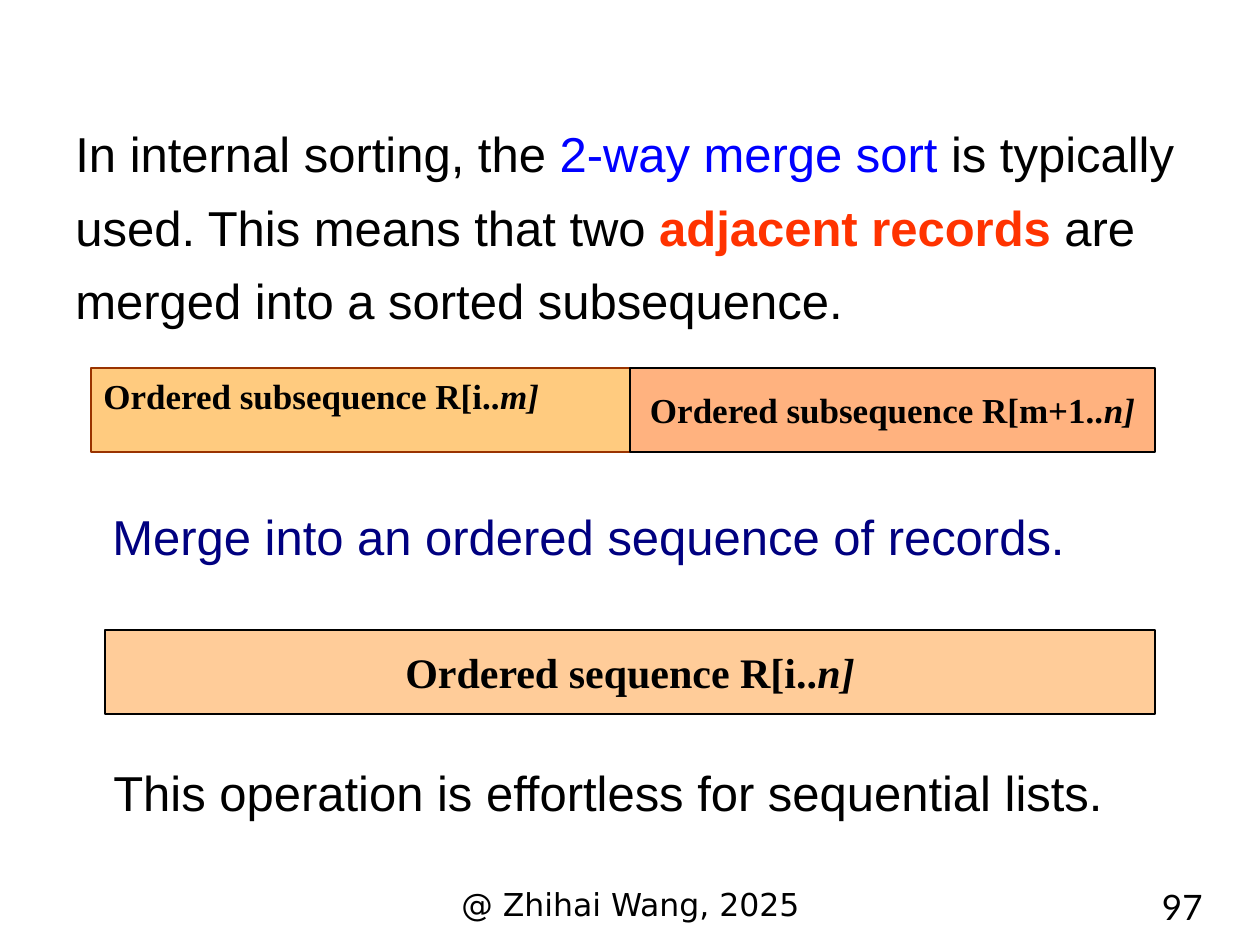
from dataclasses import dataclass
from typing import Optional

import pptx
import pptx.dml.color
import pptx.enum.shapes
import pptx.enum.text
import pptx.oxml
import pptx.oxml.ns
import pptx.util

RGBColor = pptx.dml.color.RGBColor
Align = pptx.enum.text.PP_ALIGN
Anchor = pptx.enum.text.MSO_ANCHOR

EMU_PER_PX = 914400 / 126

BLACK = RGBColor(0x00, 0x00, 0x00)
BLUE = RGBColor(0x00, 0x00, 0xFF)
NAVY = RGBColor(0x00, 0x00, 0x80)
RED = RGBColor(0xFF, 0x33, 0x00)
BROWN = RGBColor(0x99, 0x33, 0x00)
PEACH = RGBColor(0xFF, 0xCC, 0x99)
AMBER = RGBColor(0xFF, 0x99, 0x00)
ORANGE = RGBColor(0xFF, 0x66, 0x00)


@dataclass(frozen=True)
class Box:
    left: int
    top: int
    width: int
    height: int


@dataclass(frozen=True)
class Span:
    text: str
    color: Optional[RGBColor] = None
    bold: Optional[bool] = None
    italic: Optional[bool] = None


@dataclass(frozen=True)
class Caption:
    box: Box
    spans: tuple[Span, ...]
    size: int = 28
    font: str = "Arial"
    color: RGBColor = BLACK
    align: Align = Align.LEFT
    wrap: bool = False
    grow: bool = True
    line_spacing: Optional[float] = None


@dataclass(frozen=True)
class Sequence:
    box: Box
    label: str
    end: str
    size: int
    fill: RGBColor
    opacity: int = 100
    line: RGBColor = BLACK
    line_width: float = 0.75
    align: Align = Align.CENTER
    anchor: Anchor = Anchor.MIDDLE
    wrap: bool = False


CAPTIONS = (
    Caption(
        Box(63, 103, 1155, 236),
        (
            Span("In internal sorting, the "),
            Span("2-way merge sort", BLUE),
            Span(" is typically used. This means that two "),
            Span("adjacent records ", RED, bold=True),
            Span("are merged into a sorted subsequence."),
        ),
        wrap=True,
        line_spacing=1.25,
    ),
    Caption(Box(100, 500, 978, 72), (Span("Merge into an ordered sequence of records."),), color=NAVY),
    Caption(Box(101, 756, 1016, 72), (Span("This operation is effortless for sequential lists."),)),
    Caption(Box(431, 879, 399, 49), (Span("@ Zhihai Wang, 2025"),), 18, "DejaVu Sans",
            align=Align.CENTER, wrap=True, grow=False),
    Caption(Box(1022, 879, 193, 49), (Span("97"),), 20, "Lato",
            align=Align.RIGHT, wrap=True, grow=False),
)

SEQUENCES = (
    Sequence(Box(105, 630, 1050, 84), "Ordered sequence R[i..", "n]", 24, PEACH),
    Sequence(Box(91, 368, 539, 84), "Ordered subsequence R[i..", "m]", 20, AMBER, 50, BROWN, 1,
             Align.LEFT, Anchor.TOP, True),
    Sequence(Box(630, 368, 525, 84), "Ordered subsequence R[m+1..", "n]", 20, ORANGE, 50),
)


def px(length: int) -> int:
    return pptx.util.Emu(round(length * EMU_PER_PX))


def place(box: Box) -> tuple[int, int, int, int]:
    return px(box.left), px(box.top), px(box.width), px(box.height)


def write(paragraph, spans: tuple[Span, ...], font: str, size: int, color: RGBColor, align: Align) -> None:
    paragraph.alignment = align
    paragraph.font.name = font
    paragraph.font.size = pptx.util.Pt(size)
    paragraph.font.color.rgb = color
    for span in spans:
        run = paragraph.add_run()
        run.text = span.text
        run.font.bold = span.bold
        run.font.italic = span.italic
        run.font.color.rgb = span.color or color


def draw_caption(slide, caption: Caption) -> None:
    frame = slide.shapes.add_textbox(*place(caption.box)).text_frame
    frame.word_wrap = caption.wrap
    if caption.grow:
        frame.auto_size = pptx.enum.text.MSO_AUTO_SIZE.SHAPE_TO_FIT_TEXT
    paragraph = frame.paragraphs[0]
    if caption.line_spacing:
        paragraph.line_spacing = caption.line_spacing
    write(paragraph, caption.spans, caption.font, caption.size, caption.color, caption.align)


def draw_sequence(slide, sequence: Sequence) -> None:
    bar = slide.shapes.add_shape(pptx.enum.shapes.MSO_SHAPE.RECTANGLE, *place(sequence.box))
    bar.shadow.inherit = False
    bar.fill.solid()
    bar.fill.fore_color.rgb = sequence.fill
    if sequence.opacity < 100:
        fill_color = bar.element.spPr.find(pptx.oxml.ns.qn("a:solidFill"))[0]
        alpha = pptx.oxml.parse_xml(
            f'<a:alpha {pptx.oxml.ns.nsdecls("a")} val="{sequence.opacity * 1000}"/>'
        )
        fill_color.append(alpha)
    bar.line.color.rgb = sequence.line
    bar.line.width = pptx.util.Pt(sequence.line_width)
    frame = bar.text_frame
    frame.word_wrap = sequence.wrap
    frame.vertical_anchor = sequence.anchor
    paragraph = frame.paragraphs[0]
    paragraph.font.bold = True
    spans = (Span(sequence.label), Span(sequence.end, italic=True))
    write(paragraph, spans, "Times New Roman", sequence.size, BLACK, sequence.align)


def main() -> None:
    deck = pptx.Presentation()
    deck.slide_width = px(1260)
    deck.slide_height = px(945)
    slide = deck.slides.add_slide(deck.slide_layouts[6])
    for sequence in SEQUENCES:
        draw_sequence(slide, sequence)
    for caption in CAPTIONS:
        draw_caption(slide, caption)
    deck.save("out.pptx")


if __name__ == "__main__":
    main()
